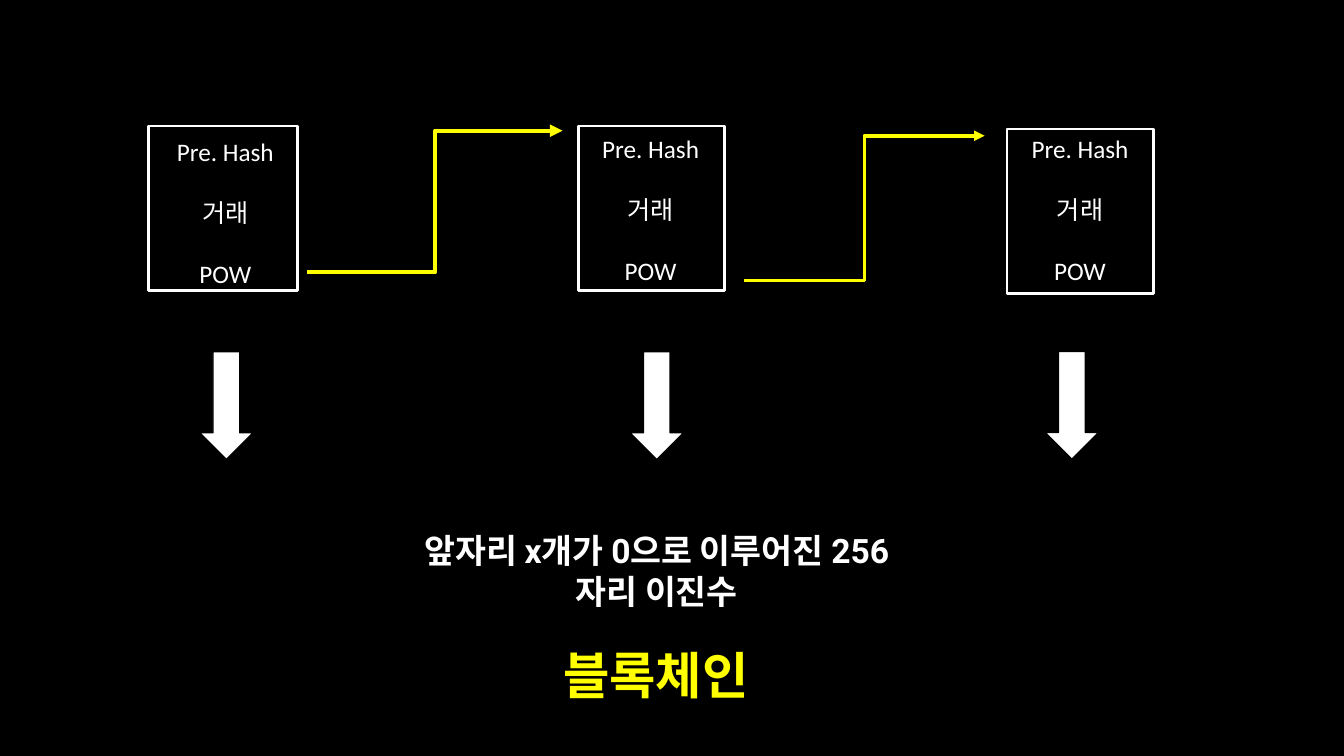
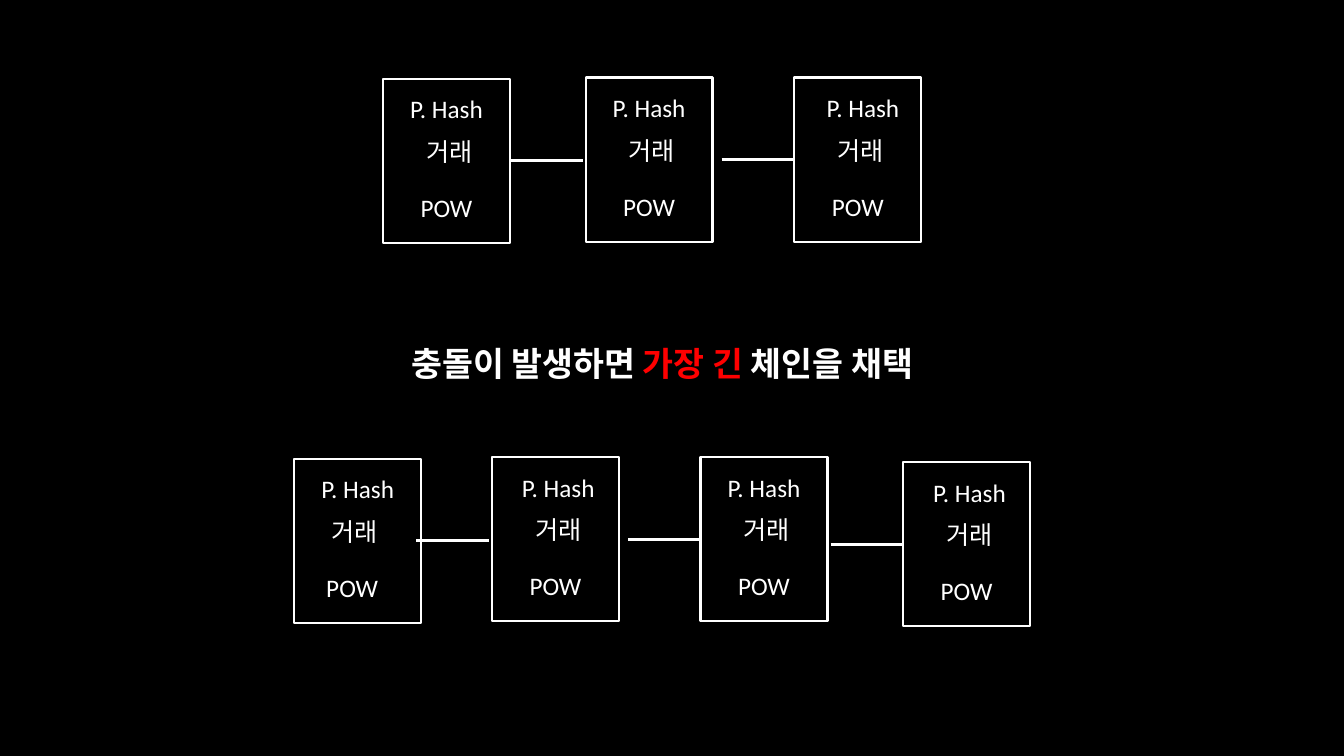
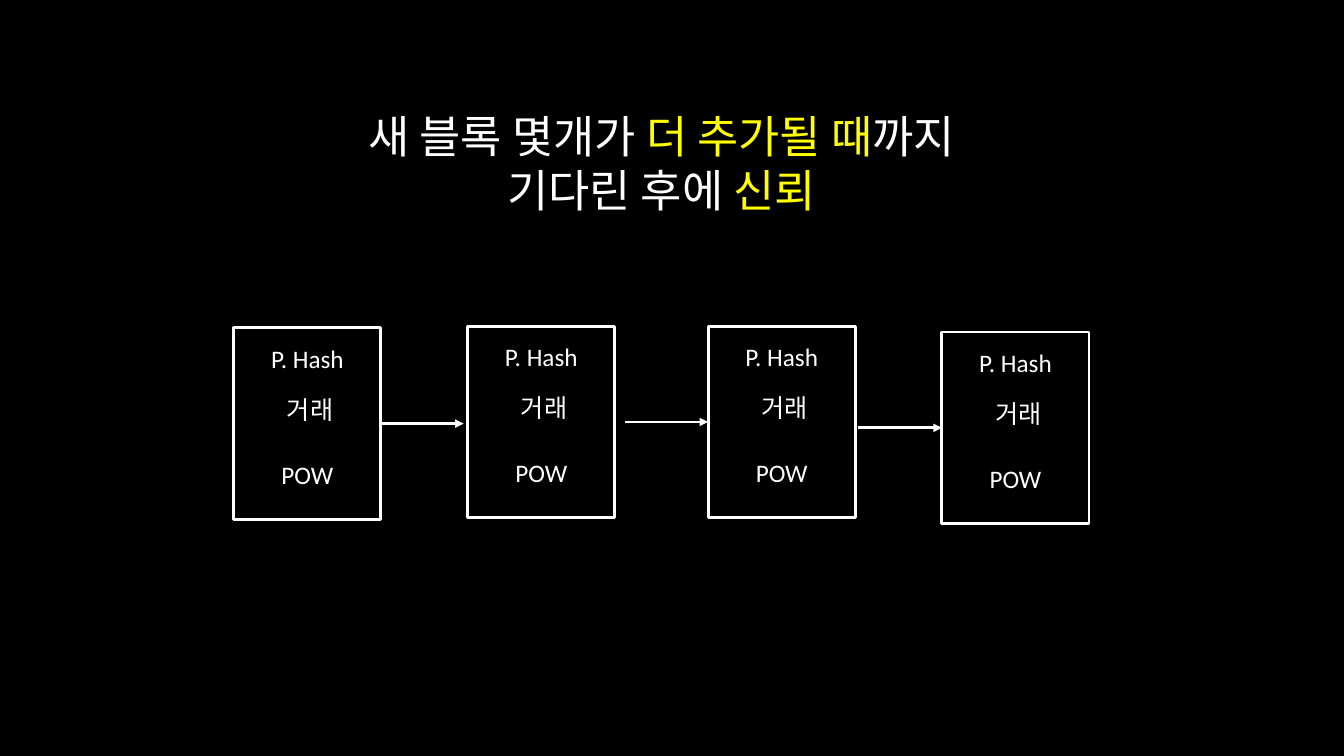
from lxml import etree
from pptx import Presentation
from pptx.dml.color import RGBColor
from pptx.enum.shapes import MSO_CONNECTOR, MSO_SHAPE
from pptx.enum.text import MSO_ANCHOR, MSO_AUTO_SIZE, PP_ALIGN
from pptx.oxml.ns import qn
from pptx.util import Pt

BLACK = RGBColor(0x00, 0x00, 0x00)
WHITE = RGBColor(0xFF, 0xFF, 0xFF)
YELLOW = RGBColor(0xFF, 0xFF, 0x00)
RED = RGBColor(0xFF, 0x00, 0x00)
RECTANGLE, DOWN_ARROW = MSO_SHAPE.RECTANGLE, MSO_SHAPE.DOWN_ARROW
STRAIGHT, ELBOW = MSO_CONNECTOR.STRAIGHT, MSO_CONNECTOR.ELBOW
CENTER = PP_ALIGN.CENTER
LEFT_SIDE, RIGHT_SIDE = 1, 3
FRAME_FORMAT = {
    "word_wrap": True,
    "auto_size": MSO_AUTO_SIZE.NONE,
    "vertical_anchor": MSO_ANCHOR.TOP,
    "margin_left": Pt(7.2),
    "margin_right": Pt(7.2),
    "margin_top": Pt(3.6),
    "margin_bottom": Pt(3.6),
}
LABEL = {"name": "Calibri", "size": Pt(18), "bold": False}
STATEMENT = {"name": "Roboto", "size": Pt(24), "bold": True}
KEYWORD = {"name": "Roboto", "size": Pt(36), "bold": True}
ADVICE = {"name": "Roboto", "size": Pt(32), "bold": False}


def write(holder, lines, font_format, gap=0):
    frame = holder.text_frame
    for name, value in FRAME_FORMAT.items():
        setattr(frame, name, value)
    for number, line in enumerate(lines):
        paragraph = frame.add_paragraph() if number else frame.paragraphs[0]
        paragraph.alignment = CENTER
        paragraph.space_before = Pt(gap if number else 0)
        for words, color in line:
            run = paragraph.add_run()
            run.text = words
            run.font.color.rgb = color
            for name, value in font_format.items():
                setattr(run.font, name, value)


def connect(slide, kind, begin, end, color, width, arrow):
    link = slide.shapes.add_connector(kind, *map(Pt, begin + end))
    link.line.color.rgb = color
    link.line.width = Pt(width)
    if arrow:
        etree.SubElement(link.line._get_or_add_ln(), qn("a:tailEnd"), type="triangle")
    etree.SubElement(link._element.spPr, qn("a:effectLst"))
    return link


prs = Presentation()
prs.slide_width, prs.slide_height = Pt(960), Pt(540)
master_fill = prs.slide_master.background.fill
master_fill.solid()
master_fill.fore_color.rgb = BLACK

headlines = [
    ((358.6, 456.5, 219.6, 51), [("블록체인", YELLOW)], KEYWORD),
    ((285.8, 241.2, 374.4, 65),
     [("충돌이 발생하면 ", WHITE), ("가장 긴", RED), (" 체인을 채택", WHITE)], STATEMENT),
    ((250.6, 74.2, 444.2, 85),
     [("새 블록 몇개가 ", WHITE), ("더 추가될 때", YELLOW),
      ("까지 기다린 후에 ", WHITE), ("신뢰", YELLOW)], ADVICE),
]
slides = []
for place, words, font_format in headlines:
    slide = prs.slides.add_slide(prs.slide_layouts[5])
    title = slide.shapes.title
    title.left, title.top, title.width, title.height = map(Pt, place)
    write(title, [words], font_format)
    slides.append(slide)
hash_slide, conflict_slide, trust_slide = slides

statement = hash_slide.shapes.add_textbox(Pt(277.2), Pt(375.1), Pt(383.8), Pt(65.5))
write(statement, [[("앞자리 x개가 0으로 이루어진 256자리 이진수", WHITE)]], STATEMENT)

hash_blocks = [
    ((105.8, 90, 106.6), (113.8, 93.6), (142.6, 251.3)),
    ((413.3, 90, 104.4), (417.6, 91.6), (450, 251.3)),
    ((719.3, 92.2, 104.4), (724.3, 91.6), (746.6, 251)),
]
for (left, top, width), contents_at, arrow_at in hash_blocks:
    for kind, place, fill, outline, weight in [
        (RECTANGLE, (left, top, width, 117.4), BLACK, WHITE, 2),
        (DOWN_ARROW, arrow_at + (38.2, 77), WHITE, BLACK, 1),
    ]:
        part = hash_slide.shapes.add_shape(kind, *map(Pt, place))
        part.shadow.inherit = False
        part.fill.solid()
        part.fill.fore_color.rgb = fill
        part.line.color.rgb = outline
        part.line.width = Pt(weight)
    contents = hash_slide.shapes.add_textbox(*map(Pt, contents_at + (94.3, 116.6)))
    write(contents, [[(word, WHITE)] for word in ("Pre. Hash", "거래", "POW")], LABEL, 22)

for begin, end, weight in [
    ((219.6, 194.6), (401.8, 93.4), 3),
    ((531.4, 200.2), (703.4, 97), 2.5),
]:
    connect(hash_slide, ELBOW, begin, end, YELLOW, weight, True)

short_chain = {
    "slide": conflict_slide, "size": (90.7, 117.4), "outline": 1.5, "arrow": False,
    "rows": (7.2, 37.4, 77.6),
    "blocks": [(273.6, 56.2, (0, 2, 0)), (418.3, 55.4, (0, 2, 0)), (567.4, 55.4, (3.6, 2, 0))],
    "links": [(364.3, 416.2, 0, "begin"), (515.5, 567.4, 2, "end")],
}
long_chain = short_chain | {
    "blocks": [(210.2, 327.6, (0, -2, -4)), (351.4, 326.5, (2, 2, 0)),
               (500.4, 326.5, (0, 2, 0)), (645.1, 330, (2, 2, 0))],
    "links": [(297.4, 349.2, 0, None), (448.6, 500.4, 2, "end"), (593.3, 645.1, 3, "end")],
}
trust_chain = {
    "slide": trust_slide, "size": (105.1, 136.8), "outline": 2, "arrow": True,
    "rows": (7.6, 43.6, 90.4),
    "blocks": [(left, top, (0, 2, 0)) for left, top in
               [(167, 234.2), (334.1, 233), (505.8, 233), (672.8, 237.2)]],
    "links": [(272.1, 331.2, 0, "begin"), (446.4, 505.8, 2, "end"), (612.7, 672.8, 3, "end")],
}
for chain in (short_chain, long_chain, trust_chain):
    shapes = chain["slide"].shapes
    width, height = chain["size"]
    blocks = []
    for left, top, shifts in chain["blocks"]:
        block = shapes.add_shape(RECTANGLE, Pt(left), Pt(top), Pt(width), Pt(height))
        block.shadow.inherit = False
        block.fill.solid()
        block.fill.fore_color.rgb = BLACK
        block.line.color.rgb = WHITE
        block.line.width = Pt(chain["outline"])
        blocks.append(block)
        for word, row, shift in zip(("P. Hash", "거래", "POW"), chain["rows"], shifts):
            label = shapes.add_textbox(
                Pt(left + (width - 76) / 2 + shift), Pt(top + row), Pt(76), Pt(28.8))
            write(label, [[(word, WHITE)]], LABEL)
    for start, stop, number, joined in chain["links"]:
        middle = chain["blocks"][number][1] + height / 2
        link = connect(chain["slide"], STRAIGHT, (start, middle), (stop, middle),
                       WHITE, 2, chain["arrow"])
        if joined == "begin":
            link.begin_connect(blocks[number], RIGHT_SIDE)
        elif joined == "end":
            link.end_connect(blocks[number], LEFT_SIDE)

prs.save("out.pptx")
